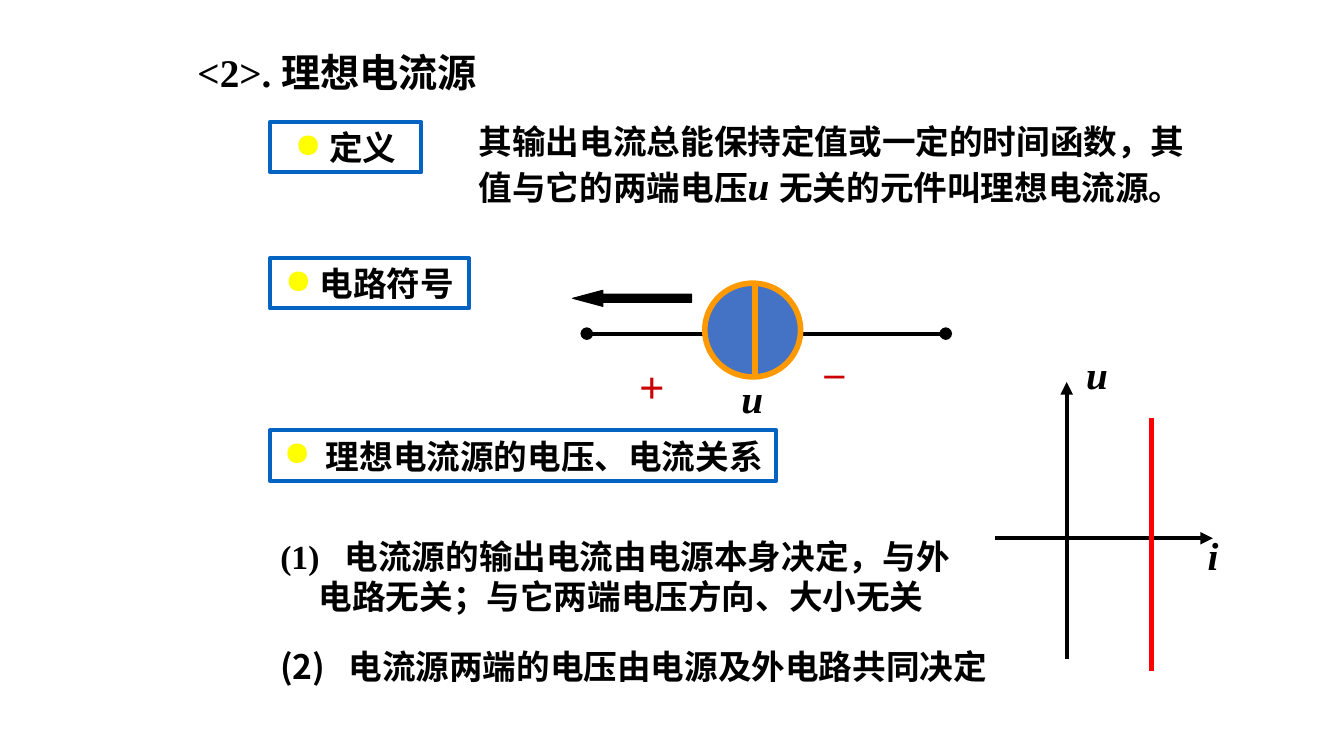
from dataclasses import dataclass

from lxml import etree
from pptx import Presentation
from pptx.dml.color import RGBColor
from pptx.enum.shapes import MSO_CONNECTOR, MSO_SHAPE
from pptx.enum.text import MSO_ANCHOR, MSO_AUTO_SIZE, PP_ALIGN
from pptx.oxml.ns import qn
from pptx.util import Inches, Pt

STRAIGHT = MSO_CONNECTOR.STRAIGHT
RECTANGLE, OVAL, LEFT_ARROW = MSO_SHAPE.RECTANGLE, MSO_SHAPE.OVAL, MSO_SHAPE.LEFT_ARROW
TOP, MIDDLE = MSO_ANCHOR.TOP, MSO_ANCHOR.MIDDLE
LEFT, CENTER = PP_ALIGN.LEFT, PP_ALIGN.CENTER
NO_FIT = MSO_AUTO_SIZE.NONE


@dataclass(frozen=True)
class Theme:
    font: str = "Times New Roman"
    ink: str = "000000"
    frame: str = "0563C1"
    bullet: str = "FFFF00"
    source_fill: str = "4472C4"
    source_line: str = "FF9900"
    polarity: str = "CC0000"
    curve: str = "FF0000"
    body: int = 24
    heading: int = 28
    symbol: int = 28
    plus: int = 32
    stroke: float = 3


THEME = Theme()


def add_element(parent, tag, **attributes):
    return etree.SubElement(parent, qn(tag), attributes)


def set_bullet(para, bullet, number):
    properties = para._p.get_or_add_pPr()
    if bullet:
        color = add_element(properties, "a:buClr")
        add_element(color, "a:srgbClr", val=THEME.bullet)
        add_element(properties, "a:buChar", char=bullet)
    elif number:
        add_element(properties, "a:buFont", typeface="+mj-ea")
        add_element(properties, "a:buAutoNum", type="arabicParenBoth", startAt=str(number))
    else:
        add_element(properties, "a:buNone")


def write_text(box, *lines, size=THEME.body, color=THEME.ink, italic=False, align=CENTER,
               anchor=TOP, wrap=True, bullet=None, number=None, hanging=0, spacing=1.0):
    frame = box.text_frame
    frame.word_wrap = wrap
    frame.auto_size = NO_FIT
    frame.vertical_anchor = anchor
    for index, line in enumerate(lines):
        para = frame.paragraphs[0] if index == 0 else frame.add_paragraph()
        properties = para._p.get_or_add_pPr()
        properties.set("marL", str(Inches(hanging)))
        properties.set("indent", str(-Inches(hanging)))
        set_bullet(para, bullet, number)
        para.alignment = align
        para.line_spacing = spacing
        para.space_before = Pt(0)
        spans = [(line, size, italic)] if isinstance(line, str) else line
        for text, span_size, span_italic in spans:
            span = para.add_run()
            span.text = text
            span.font.name = THEME.font
            span.font.size = Pt(span_size)
            span.font.bold = True
            span.font.italic = span_italic
            span.font.color.rgb = RGBColor.from_string(color)


def place(box, left, top, width, height):
    box.left, box.top = Inches(left), Inches(top)
    box.width, box.height = Inches(width), Inches(height)


def add_text(parent, area, *lines, **style):
    box = parent.shapes.add_textbox(*map(Inches, area))
    write_text(box, *lines, **style)


def add_figure(parent, kind, area, line, width=THEME.stroke, fill=None):
    figure = parent.shapes.add_shape(kind, *map(Inches, area))
    figure.shadow.inherit = False
    if fill:
        figure.fill.solid()
        figure.fill.fore_color.rgb = RGBColor.from_string(fill)
    else:
        figure.fill.background()
    figure.line.color.rgb = RGBColor.from_string(line)
    figure.line.width = Pt(width)
    return figure


def add_label(page, top, width, height, text):
    label = add_figure(page, RECTANGLE, (2.68, top, width, height), THEME.frame)
    write_text(label, text, anchor=MIDDLE, wrap=False, bullet="●")


def add_line(parent, start, end, color=THEME.ink, width=THEME.stroke, head=None, tail=None):
    line = parent.shapes.add_connector(STRAIGHT, *map(Inches, start + end))
    line.line.color.rgb = RGBColor.from_string(color)
    line.line.width = Pt(width)
    stroke = line.line._get_or_add_ln()
    for tag, ending in (("a:headEnd", head), ("a:tailEnd", tail)):
        if ending:
            add_element(stroke, tag, type=ending)
    add_element(line._element.spPr, "a:effectLst")


def add_circuit(page):
    circuit = page.shapes.add_group_shape()
    add_line(circuit, (9.38, 3.31), (5.82, 3.31), head="oval", tail="oval")
    add_figure(circuit, OVAL, (6.99, 2.81, 0.95, 0.93), THEME.source_line, 4, THEME.source_fill)
    add_text(circuit, (7.25, 3.66, 0.42, 0.57), "u", size=THEME.symbol, italic=True,
             anchor=MIDDLE, wrap=False)
    add_text(circuit, (6.23, 3.51, 0.47, 0.63), "+", size=THEME.plus, color=THEME.polarity)
    add_text(circuit, (8.04, 3.27, 0.47, 0.57), "_", size=THEME.symbol, color=THEME.polarity)
    arrow = add_figure(circuit, LEFT_ARROW, (5.68, 2.88, 1.18, 0.16), THEME.ink, 0.75, THEME.ink)
    arrow.adjustments[0] = 0.5
    arrow.adjustments[1] = 1.87
    add_line(circuit, (7.49, 2.8), (7.49, 3.74), THEME.source_line, 4.5)


def add_graph(page):
    graph = page.shapes.add_group_shape()
    add_line(graph, (9.87, 5.34), (12.03, 5.34), tail="triangle")
    add_line(graph, (10.58, 3.79), (10.58, 6.54), head="triangle")
    add_line(graph, (11.42, 4.15), (11.42, 6.66), THEME.curve)
    for name, left, top in (("u", 10.62, 3.43), ("i", 11.77, 5.22)):
        add_text(graph, (left, top, 0.52, 0.57), name, size=THEME.symbol, italic=True)


def main():
    deck = Presentation()
    deck.slide_width, deck.slide_height = Inches(13.33), Inches(7.5)
    page = deck.slides.add_slide(deck.slide_layouts[3])
    title, first_item, second_item = page.placeholders

    place(title, 1.65, 0.43, 3.39, 0.57)
    write_text(title, "<2>. 理想电流源", size=THEME.heading)
    place(first_item, 2.68, 5.26, 6.93, 0.91)
    write_text(first_item, "(1)   电流源的输出电流由电源本身决定，与外电路无关；与它两端电压方向、大小无关",
               align=LEFT, anchor=MIDDLE, hanging=0.38)
    place(second_item, 2.68, 6.47, 7.88, 0.38)
    write_text(second_item, "   电流源两端的电压由电源及外电路共同决定",
               align=LEFT, anchor=MIDDLE, hanging=0.38, number=2, spacing=0.7)

    add_text(page, (4.65, 1.1, 7.38, 1.07),
             "其输出电流总能保持定值或一定的时间函数，其",
             [("值与它的两端电压", THEME.body, False), ("u ", THEME.symbol, True),
              ("无关的元件叫理想电流源。", THEME.body, False)],
             align=LEFT, anchor=MIDDLE, hanging=2.71)
    add_label(page, 1.21, 1.5, 0.5, " 定义")
    add_label(page, 2.56, 1.97, 0.5, " 电路符号")
    add_label(page, 4.27, 5.02, 0.5, "  理想电流源的电压、电流关系")
    add_circuit(page)
    add_graph(page)
    deck.save("out.pptx")


if __name__ == "__main__":
    main()
